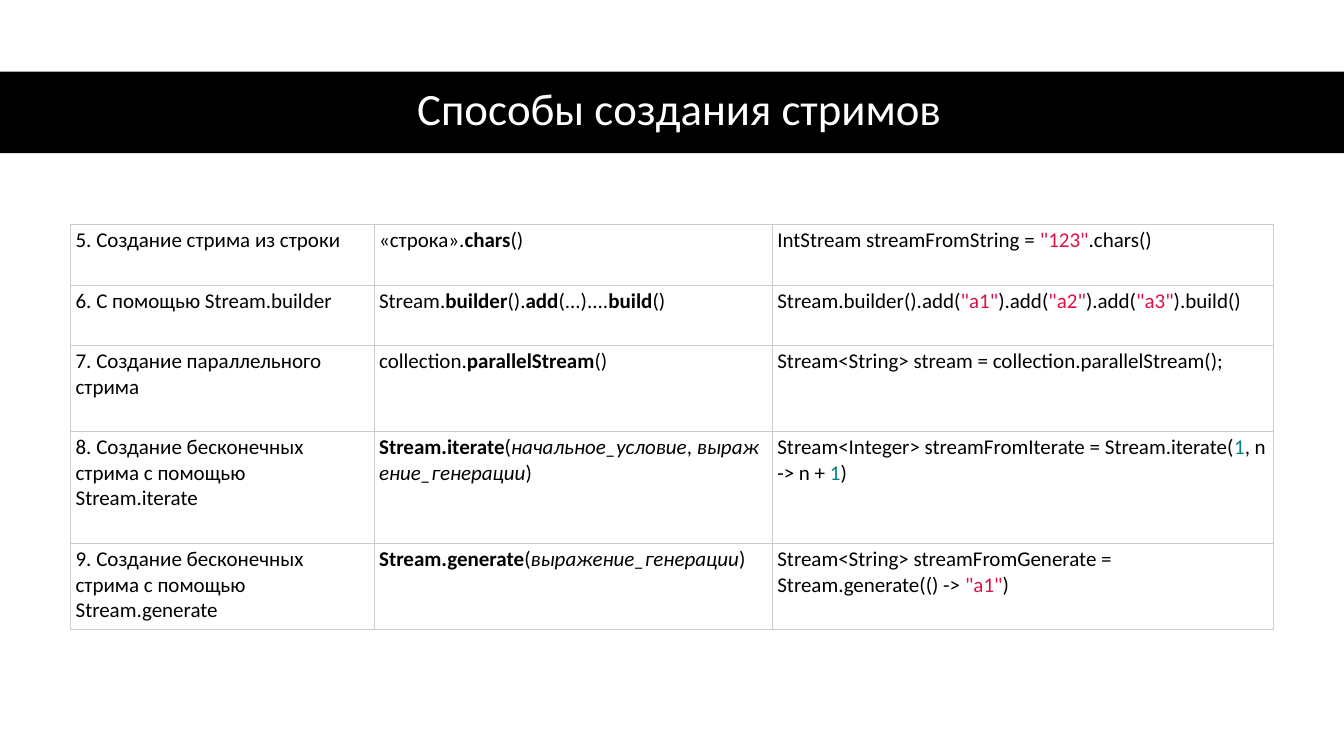
from lxml import etree
from pptx import Presentation
from pptx.dml.color import RGBColor
from pptx.enum import shapes, text
from pptx.oxml import ns
from pptx.util import Inches, Pt

BOLD = {"bold": True}
ITALIC = {"italic": True}
STRING = {"color": "DD1144"}
NUMBER = {"color": "008080"}

COLUMN_WIDTHS = [3.01, 3.95, 4.97]
ROW_HEIGHTS = [0.6, 0.6, 0.85, 1.11, 0.85]
ROWS = [
    [
        ["5. Создание стрима из строки"],
        ["«строка».", ("chars", BOLD), "()"],
        ["IntStream streamFromString = ", ('"123"', STRING), ".chars()"],
    ],
    [
        ["6. С помощью Stream.builder"],
        ["Stream.", ("builder", BOLD), "().", ("add", BOLD), "(...)....", ("build", BOLD), "()"],
        ["Stream.builder().add(", ('"a1"', STRING), ").add(", ('"a2"', STRING),
         ").add(", ('"a3"', STRING), ").build()"],
    ],
    [
        ["7. Создание параллельного стрима"],
        ["collection.", ("parallelStream", BOLD), "()"],
        ["Stream<String> stream = collection.parallelStream();"],
    ],
    [
        ["8. Создание бесконечных стрима с помощью Stream.iterate"],
        [("Stream.iterate", BOLD), "(", ("начальное_условие", ITALIC), ",\u00a0",
         ("выражение_генерации", ITALIC), ")"],
        ["Stream<Integer> streamFromIterate = Stream.iterate(", ("1", NUMBER),
         ", n -> n + ", ("1", NUMBER), ")"],
    ],
    [
        ["9. Создание бесконечных стрима с помощью Stream.generate"],
        [("Stream.generate", BOLD), "(", ("выражение_генерации", ITALIC), ")"],
        ["Stream<String> streamFromGenerate = Stream.generate(() -> ", ('"a1"', STRING), ")"],
    ],
]


def rgb(value):
    return RGBColor.from_string(value)


def add_text(paragraph, content, size=15, font="Calibri", color="000000", bold=False, italic=False):
    run = paragraph.add_run()
    run.text = content
    run.font.size = Pt(size)
    run.font.name = font
    run.font.color.rgb = rgb(color)
    run.font.bold = bold
    run.font.italic = italic


class SlideBuilder:
    def __init__(self, slide, border="CCCCCC", background="FFFFFF"):
        self.slide = slide
        self.border = border
        self.background = background

    def band(self, left, top, width, height, color):
        shape = self.slide.shapes.add_shape(
            shapes.MSO_SHAPE.RECTANGLE, Inches(left), Inches(top), Inches(width), Inches(height))
        shape.shadow.inherit = False
        shape.fill.solid()
        shape.fill.fore_color.rgb = rgb(color)
        shape.line.fill.background()

    def title(self, left, top, width, height, content):
        box = self.slide.shapes.add_textbox(Inches(left), Inches(top), Inches(width), Inches(height))
        frame = box.text_frame
        frame.word_wrap = True
        frame.vertical_anchor = text.MSO_ANCHOR.MIDDLE
        paragraph = frame.paragraphs[0]
        paragraph.alignment = text.PP_ALIGN.CENTER
        paragraph.line_spacing = 0.9
        add_text(paragraph, content, size=32, color="FFFFFF")

    def table(self, left, top, widths, heights, rows):
        table = self.slide.shapes.add_table(
            len(heights), len(widths), Inches(left), Inches(top),
            Inches(sum(widths)), Inches(sum(heights))).table
        table.first_row = False
        table.horz_banding = False
        for column, width in zip(table.columns, widths):
            column.width = Inches(width)
        for row, height, contents in zip(table.rows, heights, rows):
            row.height = Inches(height)
            for cell, parts in zip(row.cells, contents):
                self.cell(cell, parts)

    def cell(self, cell, parts):
        cell.margin_left = cell.margin_right = Inches(0.05)
        cell.margin_top = cell.margin_bottom = Inches(0.03)
        self.borders(cell)
        cell.fill.solid()
        cell.fill.fore_color.rgb = rgb(self.background)
        paragraph = cell.text_frame.paragraphs[0]
        for part in parts:
            content, style = (part, {}) if isinstance(part, str) else part
            add_text(paragraph, content, **style)

    def borders(self, cell):
        properties = cell._tc.get_or_add_tcPr()
        for side in "LRTB":
            line = etree.SubElement(properties, ns.qn(f"a:ln{side}"), w=str(Pt(0.75)))
            fill = etree.SubElement(line, ns.qn("a:solidFill"))
            etree.SubElement(fill, ns.qn("a:srgbClr"), val=self.border)


presentation = Presentation()
presentation.slide_width = Inches(13.33)
presentation.slide_height = Inches(7.5)
builder = SlideBuilder(presentation.slides.add_slide(presentation.slide_layouts[6]))
builder.band(0, 0.71, 13.33, 0.81, "000000")
builder.title(0.61, 0.7, 12.26, 0.81, "Способы создания стримов")
builder.table(0.7, 2.23, COLUMN_WIDTHS, ROW_HEIGHTS, ROWS)
presentation.save("out.pptx")
